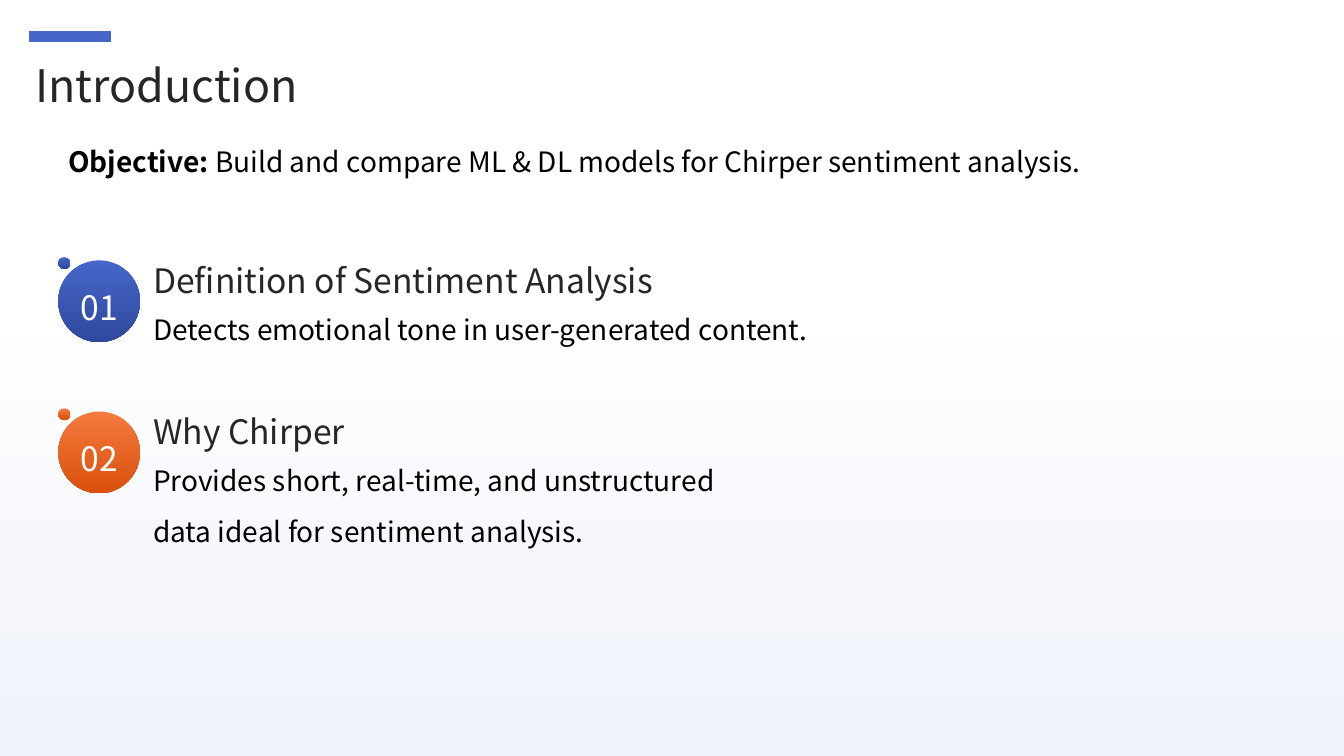
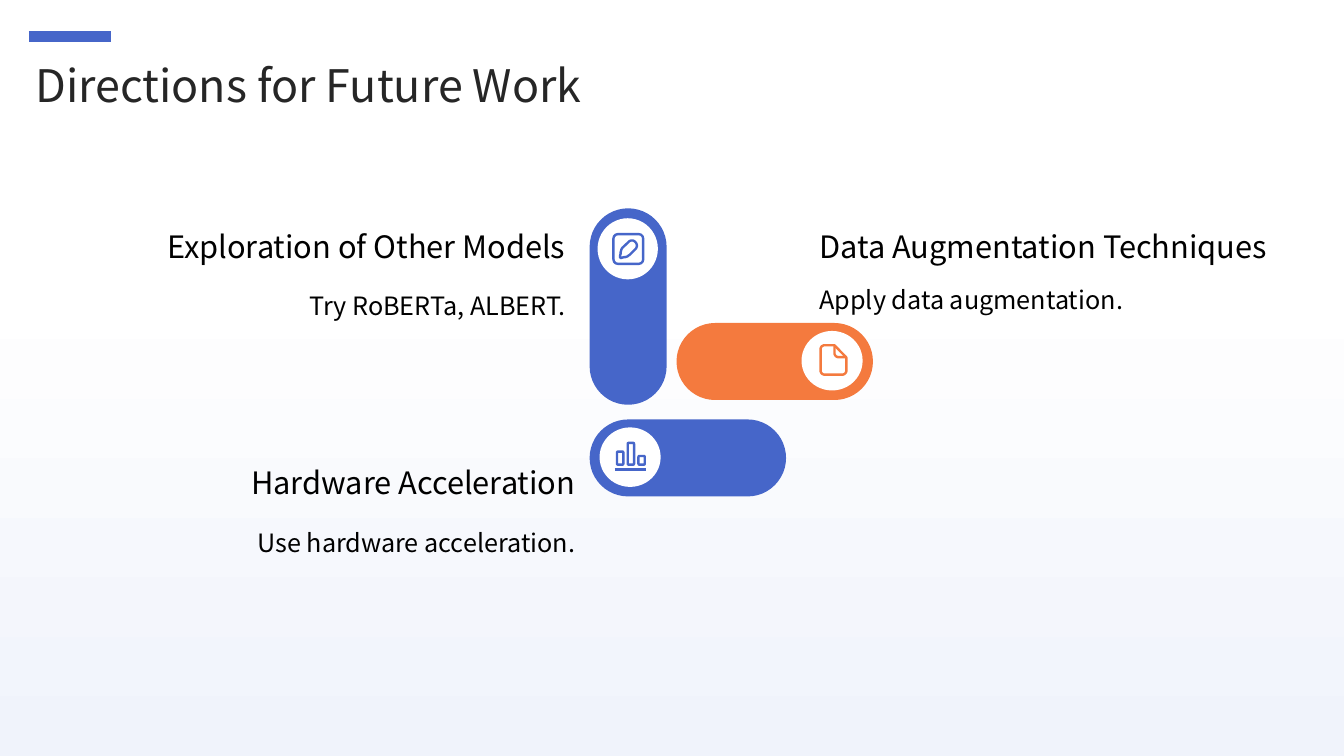
import pptx
import pptx.util
import pptx.dml.color
import pptx.enum.shapes
import pptx.enum.text
import lxml.etree

Cm, Pt = pptx.util.Cm, pptx.util.Pt
RGBColor = pptx.dml.color.RGBColor
MSO_SHAPE = pptx.enum.shapes.MSO_SHAPE
PP_ALIGN = pptx.enum.text.PP_ALIGN
ANCHOR = pptx.enum.text.MSO_ANCHOR

FONT = "Noto Sans CJK SC"
BLUE = RGBColor(0x46, 0x66, 0xC9)
DARK_BLUE = RGBColor(0x2E, 0x49, 0x9D)
ORANGE = RGBColor(0xF4, 0x7A, 0x3E)
DARK_ORANGE = RGBColor(0xD9, 0x50, 0x0C)
PALE_BLUE = RGBColor(0xF0, 0xF3, 0xFB)
WHITE = RGBColor(0xFF, 0xFF, 0xFF)
BLACK = RGBColor(0, 0, 0)
INK = RGBColor(0x26, 0x26, 0x26)
STROKE = 1.7


# Basic parts; all positions and sizes are in centimetres
def write(tf, text, size=20, color=BLACK, align=PP_ALIGN.LEFT, anchor=ANCHOR.TOP,
          spacing=None, lead="", insets=(0, 0, 0, 0)):
    tf.word_wrap = True
    tf.vertical_anchor = anchor
    tf.margin_left, tf.margin_top, tf.margin_right, tf.margin_bottom = map(Cm, insets)
    p = tf.paragraphs[0]
    p.alignment = align
    p.line_spacing = spacing
    for part, bold in ((lead, True), (text, False)):
        if part:
            r = p.add_run()
            r.text = part
            r.font.name, r.font.size, r.font.bold = FONT, Pt(size), bold
            r.font.color.rgb = color


def add_text(s, x, y, w, h, text, **fmt):
    write(s.shapes.add_textbox(Cm(x), Cm(y), Cm(w), Cm(h)).text_frame, text, **fmt)


def set_gradient(fill, stops):
    fill.gradient()
    fill.gradient_angle = 270
    for stop, (position, color) in zip(fill.gradient_stops, stops):
        stop.position, stop.color.rgb = position, color


def paint(sp, fill=None, line=None):
    sp.shadow.inherit = False
    if isinstance(fill, tuple) and not isinstance(fill, RGBColor):
        set_gradient(sp.fill, zip((0, 1), fill))
    elif fill is not None:
        sp.fill.solid()
        sp.fill.fore_color.rgb = fill
    else:
        sp.fill.background()
    if line is not None:
        sp.line.color.rgb = line
        sp.line.width = Pt(STROKE)
    else:
        sp.line.fill.background()


def add_shape(s, kind, x, y, w, h, fill=None, line=None, radius=None):
    sp = s.shapes.add_shape(kind, Cm(x), Cm(y), Cm(w), Cm(h))
    if radius is not None:
        sp.adjustments[0] = radius
    paint(sp, fill, line)
    return sp


def add_line(s, x1, x2, y, color, width):
    c = s.shapes.add_connector(pptx.enum.shapes.MSO_CONNECTOR.STRAIGHT,
                               Cm(x1), Cm(y), Cm(x2), Cm(y))
    c.line.color.rgb, c.line.width = color, Pt(width)
    lxml.etree.SubElement(c._element.spPr, pptx.oxml.ns.qn("a:effectLst"))


def add_outline(s, x, y, steps, color, close):
    """Steps, in 0.01 cm, are points (2 numbers) or cubic curves (6 numbers)."""
    points = [steps[0]]
    for step in steps[1:]:
        if len(step) == 2:
            points.append(step)
            continue
        start, c1, c2, end = points[-1], step[:2], step[2:4], step[4:]
        for t in (i / 8 for i in range(1, 9)):
            u = 1 - t
            points.append(tuple(u**3 * a + 3 * u * u * t * b + 3 * u * t * t * c + t**3 * d
                                for a, b, c, d in zip(start, c1, c2, end)))
    fb = s.shapes.build_freeform(*points[0], scale=Cm(0.01))
    fb.add_line_segments(points[1:], close=close)
    paint(fb.convert_to_shape(Cm(x), Cm(y)), line=color)


# Icons
def edit_icon(s, x, y, color):
    add_shape(s, MSO_SHAPE.ROUNDED_RECTANGLE, x + 0.03, y + 0.03, 0.75, 0.75,
              line=color, radius=0.15)
    leaf = [(20, 63), (20, 55, 21, 42, 25, 38), (41, 23), (46, 18, 54, 18, 58, 23),
            (63, 28, 63, 36, 58, 41), (43, 56), (39, 60, 28, 62, 20, 63)]
    add_outline(s, x, y, leaf, color, True)


def page_icon(s, x, y, color):
    page = [(13, 3), (38, 3), (68, 34), (68, 67), (68, 73, 64, 77, 58, 77), (13, 77),
            (7, 77, 3, 73, 3, 67), (3, 13), (3, 7, 7, 3, 13, 3)]
    add_outline(s, x, y, page, color, True)
    fold = [(38, 3), (38, 23), (38, 29, 42, 33, 48, 33), (68, 33)]
    add_outline(s, x, y, fold, color, False)


def bars_icon(s, x, y, color):
    for i, top in enumerate((0.25, 0.03, 0.36)):
        add_shape(s, MSO_SHAPE.ROUNDED_RECTANGLE, x + 0.06 + 0.27 * i, y + top,
                  0.16, 0.58 - top, line=color, radius=0.15)
    add_line(s, x, x + 0.8, y + 0.7, color, STROKE)


# Regions
def add_slide(prs, title):
    s = prs.slides.add_slide(prs.slide_layouts[6])
    add_line(s, 0.73, 2.79, 0.91, BLUE, 8)
    add_text(s, 0.89, 1.4, 31, 1.19, title, size=32, color=INK,
             anchor=ANCHOR.MIDDLE, spacing=1.2)
    return s


def numbered_item(s, x, y, w, h, number, colors, head, body):
    disc = add_shape(s, MSO_SHAPE.OVAL, x, y + 0.08, 2.06, 2.06, colors)
    write(disc.text_frame, number, size=24, color=WHITE, align=PP_ALIGN.CENTER,
          anchor=ANCHOR.MIDDLE, insets=(0, 0.28, 0, 0))
    add_shape(s, MSO_SHAPE.OVAL, x, y, 0.3, 0.3, colors)
    add_text(s, x + 2.39, y + 0.13, w, 0.89, head, size=24, color=INK, anchor=ANCHOR.MIDDLE)
    add_text(s, x + 2.39, y + 0.97, w, h, body, spacing=1.5)


def pill(s, x, y, w, h, color, disc, icon, icon_at):
    add_shape(s, MSO_SHAPE.ROUNDED_RECTANGLE, x, y, w, h, color, radius=0.5)
    dx, dy, dw, dh = disc
    add_shape(s, MSO_SHAPE.OVAL, x + dx, y + dy, dw, dh, WHITE)
    icon(s, x + icon_at[0], y + icon_at[1], color)


def direction(s, x, y, w, head, body, align, body_dy=1.83):
    add_text(s, x, y, w, 1.55, head, size=22, align=align, anchor=ANCHOR.BOTTOM, spacing=1.3)
    add_text(s, x, y + body_dy, w, 3.15, body, size=18, align=align, spacing=1.5)


# Slides
def introduction(prs):
    s = add_slide(prs, "Introduction")
    add_text(s, 1.47, 3.51, 28.7, 1.12,
             "Build and compare ML & DL models for Chirper sentiment analysis.",
             lead="Objective: ", insets=(0.25, 0.13, 0.25, 0.13))
    numbered_item(s, 1.47, 6.48, 21.18, 3.45, "01", (BLUE, DARK_BLUE),
                  "Definition of Sentiment Analysis",
                  "Detects emotional tone in user-generated content.")
    numbered_item(s, 1.47, 10.29, 14.86, 4.9, "02", (ORANGE, DARK_ORANGE), "Why Chirper",
                  "Provides short, real-time, and unstructured data ideal for sentiment analysis.")


def future_work(prs):
    s = add_slide(prs, "Directions for Future Work")
    long, thick = 4.95, 1.94
    pill(s, 14.86, 10.57, long, thick, BLUE, (0.25, 0.2, 1.54, 1.5), bars_icon, (0.63, 0.56))
    pill(s, 17.05, 8.14, long, thick, ORANGE, (3.15, 0.2, 1.54, 1.5), page_icon, (3.6, 0.53))
    pill(s, 14.86, 5.25, thick, long, BLUE, (0.2, 0.25, 1.52, 1.54), edit_icon, (0.57, 0.62))
    direction(s, 1.83, 5.11, 12.42, "Exploration of Other Models",
              "Try RoBERTa, ALBERT.", PP_ALIGN.RIGHT)
    direction(s, 2.9, 11.07, 11.6, "Hardware Acceleration",
              "Use hardware acceleration.", PP_ALIGN.RIGHT)
    direction(s, 20.65, 5.11, 12.9, "Data Augmentation Techniques",
              "Apply data augmentation.", PP_ALIGN.LEFT, body_dy=1.68)


def main():
    prs = pptx.Presentation()
    prs.slide_width, prs.slide_height = Cm(33.87), Cm(19.05)
    # Shared background
    set_gradient(prs.slide_master.background.fill, ((0.37, WHITE), (1, PALE_BLUE)))
    introduction(prs)
    future_work(prs)
    prs.save("out.pptx")


if __name__ == "__main__":
    main()
